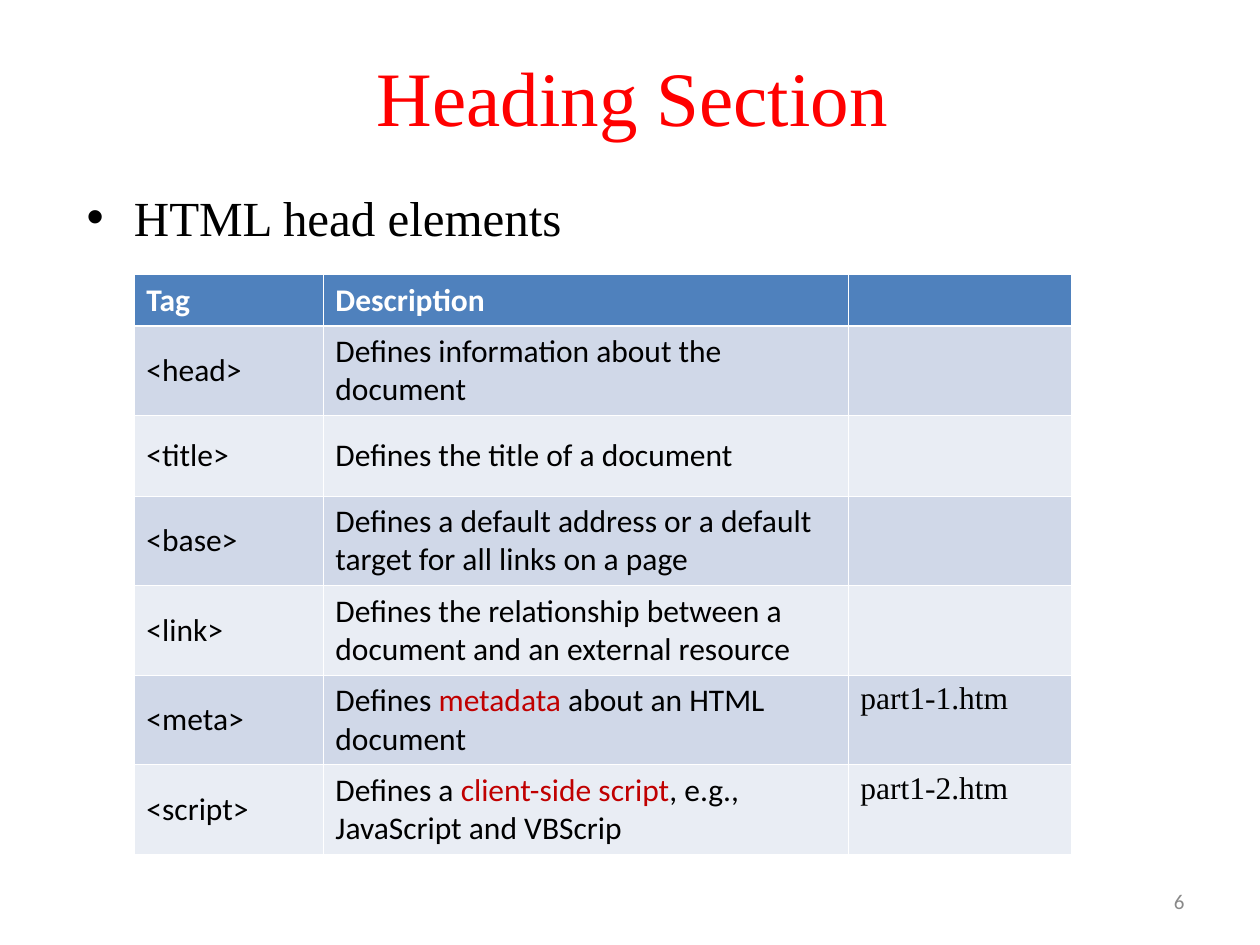
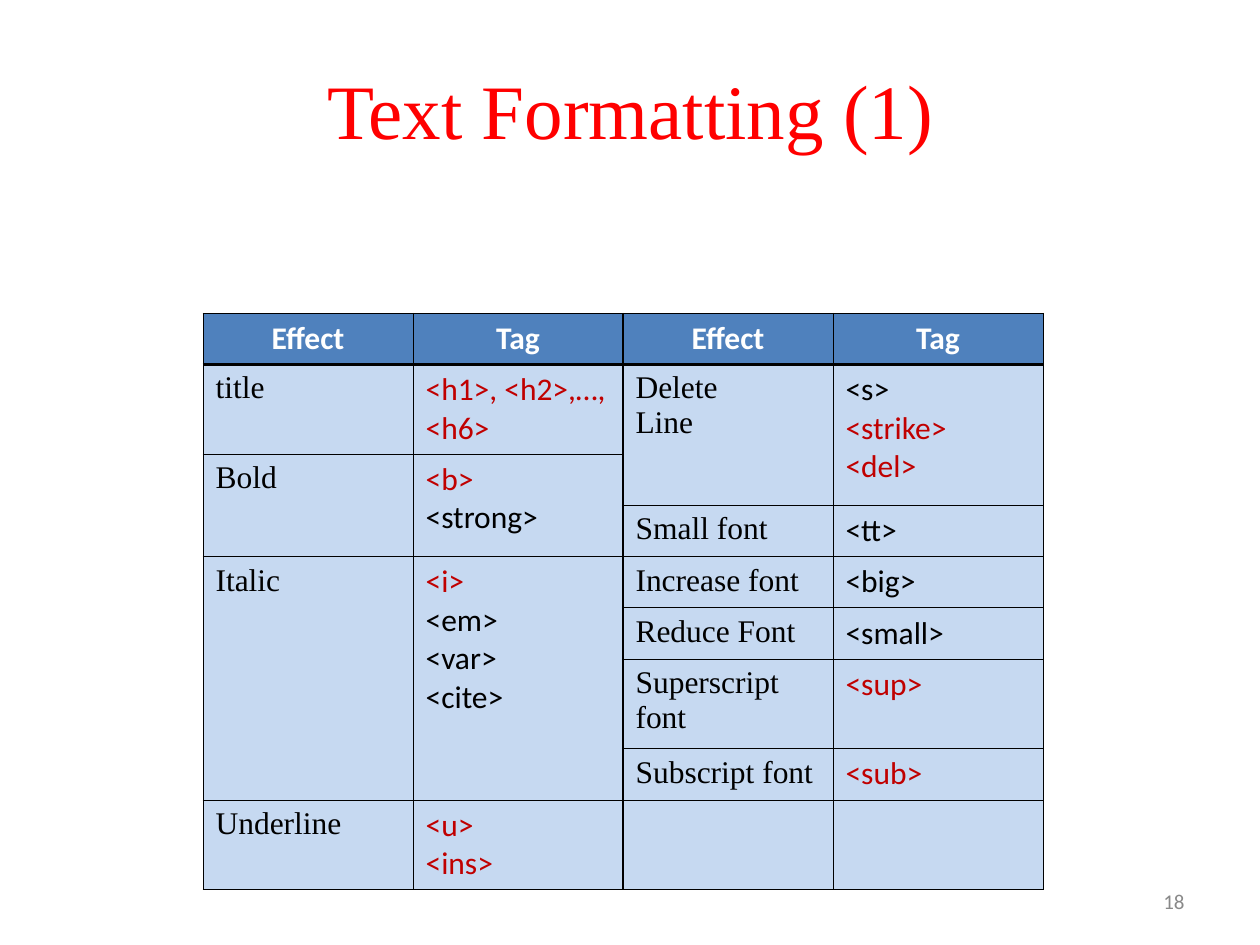
from pptx import Presentation
from pptx.dml.color import RGBColor as RGB
from pptx.enum.text import MSO_ANCHOR as ANCHOR, PP_ALIGN as ALIGN
from pptx.oxml.ns import qn
from pptx.util import Pt
from lxml.etree import SubElement

SERIF, SANS = "Times New Roman", "Calibri"
BLACK = RGB(0x00, 0x00, 0x00)
WHITE = RGB(0xFF, 0xFF, 0xFF)
TITLE_RED = RGB(0xFF, 0x00, 0x00)
DEEP_RED = RGB(0xC0, 0x00, 0x00)
GREY = RGB(0x89, 0x89, 0x89)
HEADER_BLUE = RGB(0x4F, 0x81, 0xBD)
BAND_DARK = RGB(0xD0, 0xD8, 0xE8)
BAND_LIGHT = RGB(0xE9, 0xED, 0xF4)
PALE_BLUE = RGB(0xC6, 0xD9, 0xF1)

THIN, THICK = Pt(0.45), Pt(1.47)
ONE_LINE, TWO_LINES = 29.3, 51.2

HEAD_TAGS = [
    ("Tag", "Description", ""),
    ("<head>", "Defines information about the document", ""),
    ("<title>", "Defines the title of a document", ""),
    ("<base>", "Defines a default address or a default target for all links on a page", ""),
    ("<link>", "Defines the relationship between a document and an external resource", ""),
    ("<meta>", "Defines *metadata* about an HTML document", "part1-1.htm"),
    ("<script>", "Defines a *client-side script*, e.g., JavaScript and VBScrip", "part1-2.htm"),
]

EFFECTS_LEFT = [
    (1, 1, "title", ["*<h1>, <h2>,…, <h6>"]),
    (2, 2, "Bold", ["*<b>", "<strong>"]),
    (4, 4, "Italic", ["*<i>", "<em>", "<var>", "<cite>"]),
    (8, 1, "Underline", ["*<u>", "*<ins>"]),
]
EFFECTS_RIGHT = [
    (1, 2, "Delete\nLine", ["<s>", "*<strike>", "*<del>"]),
    (3, 1, "Small font", ["<tt>"]),
    (4, 1, "Increase font", ["<big>"]),
    (5, 1, "Reduce Font", ["<small>"]),
    (6, 1, "Superscript font", ["*<sup>"]),
    (7, 1, "Subscript font", ["*<sub>"]),
]


def style_run(r, font, size, color, bold=False):
    """Set the face, size, colour and weight of one run."""
    r.font.name, r.font.size, r.font.bold = font, Pt(size), bold
    r.font.color.rgb = color


def add_text(s, box, text, font, size, color, align=ALIGN.LEFT, anchor=ANCHOR.MIDDLE):
    """Place one line of text in a box and return its shape."""
    sp = s.shapes.add_textbox(*map(Pt, box))
    tf = sp.text_frame
    tf.word_wrap, tf.vertical_anchor = True, anchor
    tf.text = text
    p = tf.paragraphs[0]
    p.alignment = align
    style_run(p.runs[0], font, size, color)
    return sp


def add_frame(prs, title, title_box, number):
    """Add a slide with its red title and page number."""
    s = prs.slides.add_slide(prs.slide_layouts[6])
    add_text(s, (516, 500.4, 168, 28.8), number, SANS, 12, GREY, ALIGN.RIGHT)
    add_text(s, title_box, title, SERIF, 44, TITLE_RED, ALIGN.CENTER)
    return s


def add_bullet(s, box, text):
    """Add a large bulleted line at the top of a box."""
    sp = add_text(s, box, text, SERIF, 28, BLACK, anchor=ANCHOR.TOP)
    sp.text_frame.margin_top = Pt(7)
    pPr = sp.text_frame.paragraphs[0]._p.get_or_add_pPr()
    pPr.set("marL", str(Pt(27)))
    pPr.set("indent", str(-Pt(27)))
    SubElement(pPr, qn("a:buFont"), typeface="Arial")
    SubElement(pPr, qn("a:buChar"), char="•")


def write_cell(cell, lines, font=SANS, color=BLACK, bold=False, align=ALIGN.LEFT,
               anchor=ANCHOR.TOP):
    """Write paragraphs in a cell, with the parts after odd asterisks in red."""
    cell.vertical_anchor = anchor
    tf = cell.text_frame
    for i, line in enumerate(lines):
        p = tf.add_paragraph() if i else tf.paragraphs[0]
        p.alignment = align
        plain, *parts = line.split("*")
        p.text = plain
        for r in p.runs:
            style_run(r, font, 18, color, bold)
        for k, part in enumerate(parts):
            r = p.add_run()
            r.text = part
            style_run(r, font, 18, color if k % 2 else DEEP_RED, bold)


def add_grid(s, left, top, widths, heights, line_color, fills, thick_col=None):
    """Add a ruled table with a thick line under its header and before thick_col."""
    shape = s.shapes.add_table(len(heights), len(widths), Pt(left), Pt(top),
                               Pt(sum(widths)), Pt(sum(heights)))
    tbl = shape.table
    tbl.first_row = tbl.horz_banding = False
    for col, width in zip(tbl.columns, widths):
        col.width = Pt(width)
    for i, (row, height) in enumerate(zip(tbl.rows, heights)):
        row.height = Pt(height)
        for j, cell in enumerate(row.cells):
            heavy = {"L": j == thick_col, "R": j + 1 == thick_col,
                     "T": i == 1, "B": i == 0}
            tcPr = cell._tc.get_or_add_tcPr()
            for side, is_heavy in heavy.items():
                ln = SubElement(tcPr, qn(f"a:ln{side}"), w=str(THICK if is_heavy else THIN))
                fill = SubElement(ln, qn("a:solidFill"))
                SubElement(fill, qn("a:srgbClr"), val=str(line_color))
            cell.fill.solid()
            cell.fill.fore_color.rgb = fills[i]
    return tbl


def add_head_table(s, left, top):
    """Add the table of head elements with banded rows."""
    heights = [ONE_LINE, TWO_LINES, 46] + [TWO_LINES] * 4
    tbl = add_grid(s, left, top, (108, 300, 127.5), heights, WHITE,
                   [HEADER_BLUE] + [BAND_DARK, BAND_LIGHT] * 3)
    for i, (tag, description, example) in enumerate(HEAD_TAGS):
        for j, text in enumerate((tag, description)):
            write_cell(tbl.cell(i, j), [text], color=BLACK if i else WHITE,
                       bold=i == 0, anchor=ANCHOR.MIDDLE)
        write_cell(tbl.cell(i, 2), [example], font=SERIF)


def add_effect_table(s, left, top):
    """Add the table of text effects in two pairs of columns."""
    heights = [TWO_LINES if i in (1, 6, 8) else ONE_LINE for i in range(9)]
    tbl = add_grid(s, left, top, [120] * 4, heights, BLACK,
                   [HEADER_BLUE] + [PALE_BLUE] * 8, thick_col=2)
    for j, effects in ((0, EFFECTS_LEFT), (2, EFFECTS_RIGHT)):
        for k, heading in enumerate(("Effect", "Tag")):
            write_cell(tbl.cell(0, j + k), [heading], color=WHITE, bold=True,
                       align=ALIGN.CENTER)
        for i, span, effect, tags in effects:
            for k, (lines, font) in enumerate((([effect], SERIF), (tags, SANS))):
                cell = tbl.cell(i, j + k)
                if span > 1:
                    cell.merge(tbl.cell(i + span - 1, j + k))
                write_cell(cell, lines, font)


def main():
    """Build both slides and save them."""
    prs = Presentation()
    prs.slide_width, prs.slide_height = Pt(720), Pt(540)

    s = add_frame(prs, "Heading Section", (98, 30, 527, 49.7), "6")
    add_bullet(s, (42.5, 100, 648, 420), "HTML head elements")
    add_head_table(s, 76.5, 157)

    s = add_frame(prs, "Text Formatting (1)", (123, 37.5, 474.5, 49.7), "18")
    add_effect_table(s, 116, 179)

    prs.save("out.pptx")


if __name__ == "__main__":
    main()
